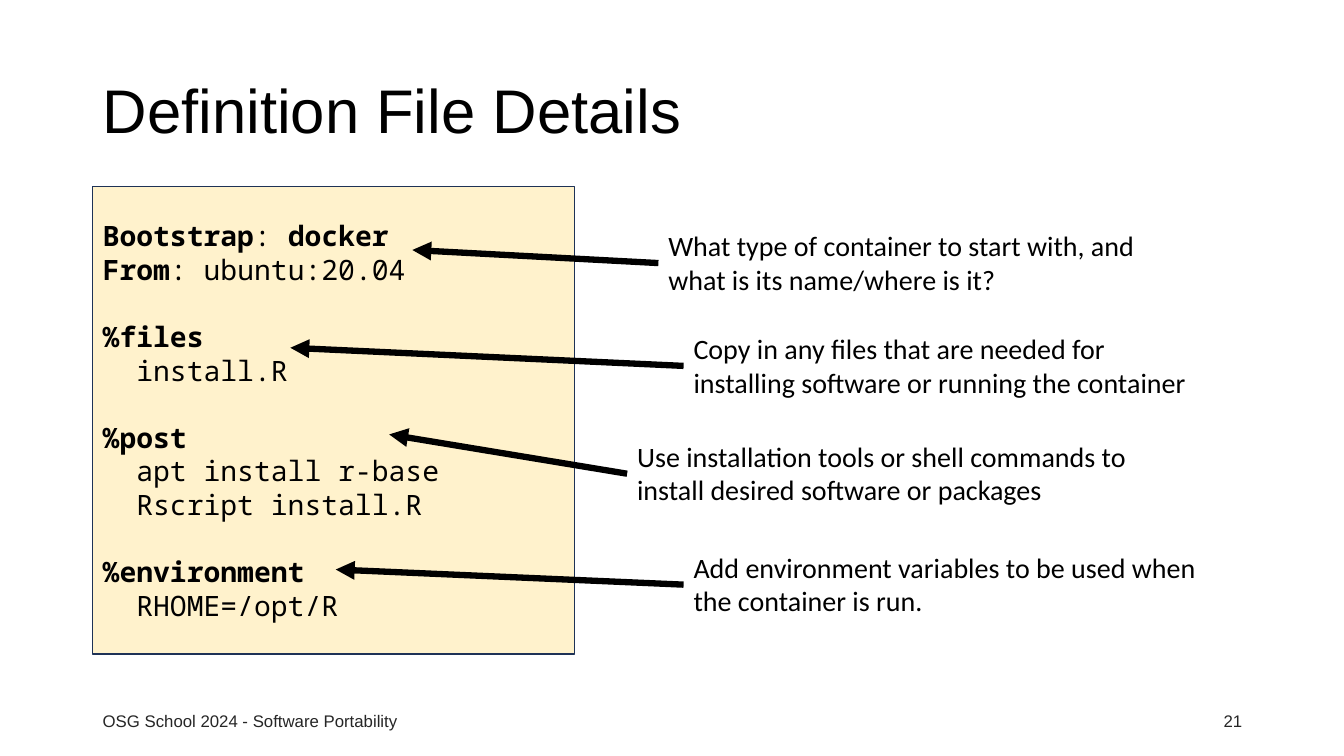
from lxml.etree import SubElement
from pptx import Presentation
from pptx.dml.color import RGBColor
from pptx.enum.shapes import MSO_CONNECTOR as Connector, MSO_SHAPE as Preset
from pptx.enum.text import MSO_ANCHOR as Anchor, PP_ALIGN as Align
from pptx.oxml.ns import qn
from pptx.util import Inches, Pt

BLACK, GREY = "000000", "262626"
CODE_SECTIONS = [
    [[("Bootstrap", True), (": ", False), ("docker", True)],
     [("From", True), (": ubuntu:20.04", False)]],
    [[("%files", True)], [("  install.R", False)]],
    [[("%post", True)], [("  apt install r-base", False)],
     [("  Rscript install.R", False)]],
    [[("%environment", True)], [("  RHOME=/opt/R", False)]],
]
NOTES = [
    (6.53, 2.22, (4.09, 2.48),
     "What type of container to start with, and what is its name/where is it?"),
    (6.78, 3.24, (2.88, 3.45),
     "Copy in any files that are needed for installing software or running the container"),
    (6.22, 4.31, (3.86, 4.31),
     "Use installation tools or shell commands to install desired software or packages"),
    (6.78, 5.41, (3.33, 5.65),
     "Add environment variables to be used when the container is run."),
]


def color(code):
    """Turn a hex string into a colour."""
    return RGBColor.from_string(code)


def set_font(font, name, size, code=BLACK):
    """Give a font its name, size and colour."""
    font.name, font.size = name, Pt(size)
    font.color.rgb = color(code)


def add_text(page, text, place, name, size, code=BLACK, anchor=Anchor.MIDDLE,
             align=Align.LEFT):
    """Add a wrapping text box and return its paragraph."""
    frame = page.shapes.add_textbox(*map(Inches, place)).text_frame
    frame.word_wrap, frame.vertical_anchor = True, anchor
    para = frame.paragraphs[0]
    para.text, para.alignment = text, align
    set_font(para.font, name, size, code)
    return para


def add_code_box(page, sections, place):
    """Add the panel with the definition file, one gap before each section."""
    box = page.shapes.add_shape(Preset.RECTANGLE, *map(Inches, place))
    box.shadow.inherit = False
    box.fill.solid()
    box.fill.fore_color.rgb = color("FFF2CC")
    box.line.color.rgb, box.line.width = color("1E3256"), Pt(1)
    frame = box.text_frame
    frame.word_wrap, frame.vertical_anchor = True, Anchor.MIDDLE
    para = frame.paragraphs[0]
    for section_index, section in enumerate(sections):
        for line_index, line in enumerate(section):
            if section_index or line_index:
                para = frame.add_paragraph()
            if section_index and not line_index:
                para.space_before = Pt(24)
            para.alignment = Align.LEFT
            set_font(para.font, "Noto Sans Mono", 20)
            for text, bold in line:
                span = para.add_run()
                span.text, span.font.bold = text, bold


def add_arrow(page, start, end):
    """Add a thick black arrow from start to end."""
    arrow = page.shapes.add_connector(Connector.STRAIGHT, *map(Inches, start + end))
    arrow.line.color.rgb, arrow.line.width = color(BLACK), Pt(4.5)
    SubElement(arrow.line._get_or_add_ln(), qn("a:tailEnd"), type="triangle")
    SubElement(arrow._element.spPr, qn("a:effectLst"))


def add_note(page, left, top, target, text):
    """Add an explanation with an arrow from its left edge to the code."""
    add_text(page, text, (left, top, 5.28, 0.77), "Calibri", 20, anchor=Anchor.TOP)
    add_arrow(page, (left, top + 0.39), target)


def main():
    """Build the slide and save it."""
    deck = Presentation()
    deck.slide_width, deck.slide_height = Inches(13.33), Inches(7.5)
    page = deck.slides.add_slide(deck.slide_layouts[6])
    title = add_text(page, "Definition File Details", (0.92, 0.4, 11.5, 1.45), "Arial", 44)
    title.line_spacing = 0.9
    add_code_box(page, CODE_SECTIONS, (0.92, 1.85, 4.78, 4.64))
    for note in NOTES:
        add_note(page, *note)
    add_text(page, "OSG School 2024 - Software Portability", (0.92, 6.95, 3.7, 0.4),
             "Arial", 12, GREY)
    add_text(page, "21", (10.92, 6.95, 1.5, 0.4), "Arial", 12, GREY, align=Align.RIGHT)
    deck.save("out.pptx")


if __name__ == "__main__":
    main()
